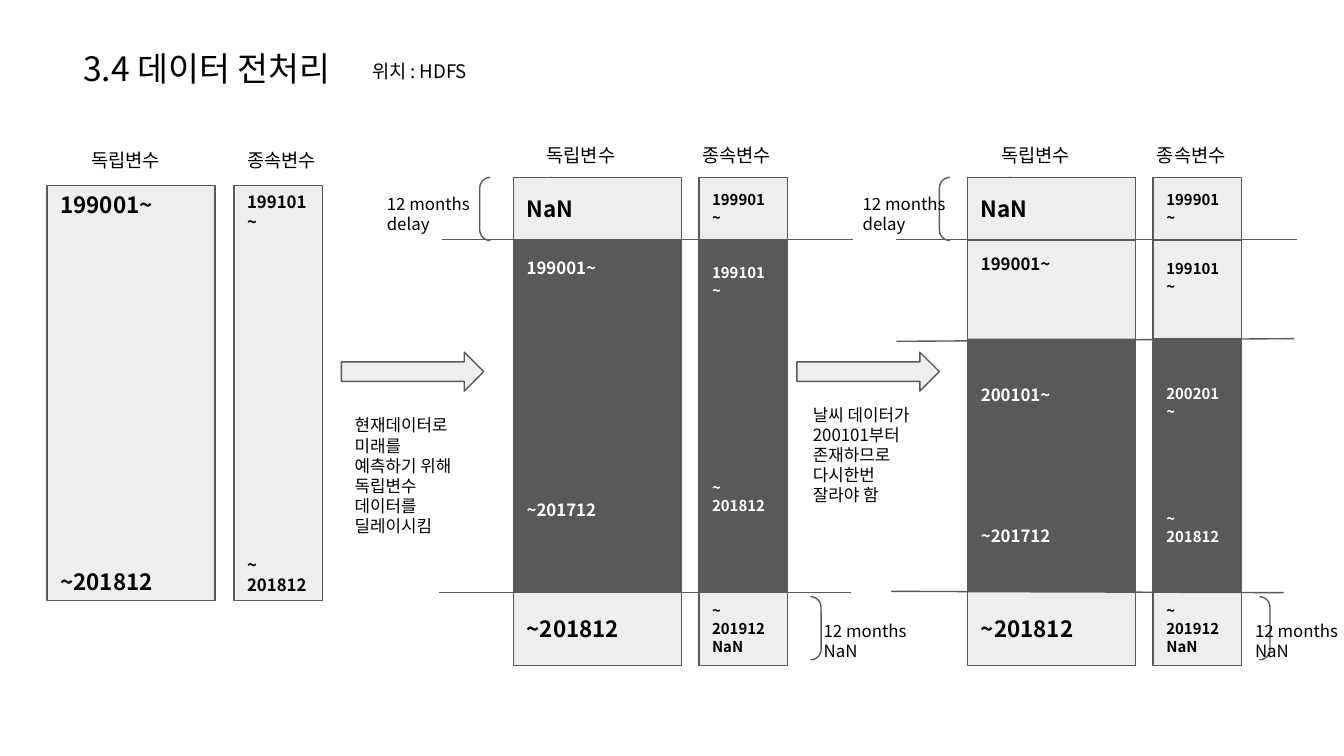
"""Build the data preprocessing slide with shifted time bars."""
from dataclasses import dataclass

import lxml.etree
import pptx
import pptx.dml.color
import pptx.enum.shapes
import pptx.enum.text
import pptx.oxml.ns
import pptx.util

SCALE = 9144
FONT = "Noto Sans CJK KR"
LIGHT, DARK, BLACK, WHITE = "EEEEEE", "595959", "000000", "FFFFFF"
WIDE, SLIM = 125, 66
LEAD = 1.2
KINDS = pptx.enum.shapes.MSO_SHAPE


@dataclass
class Bar:
    """A time bar with text at its head and, after a gap of lines, its foot."""
    left: int
    top: int
    width: int
    height: int
    size: int
    head: str
    gap: int = 0
    foot: str = ""
    fill: str = LIGHT
    edge: str = DARK
    inset: int = 0


@dataclass
class Note:
    """A plain text box."""
    left: int
    top: int
    width: int
    height: int
    size: int
    text: str


@dataclass
class Rule:
    """A straight line between two points."""
    left: int
    top: int
    right: int
    end: int


def px(count: int) -> int:
    """Turn px into EMU."""
    return pptx.util.Emu(count * SCALE)


def hue(code: str) -> pptx.dml.color.RGBColor:
    """Turn a hex string into a colour."""
    return pptx.dml.color.RGBColor.from_string(code)


def style(frame, size: int, ink: str, bold: bool) -> None:
    """Format every paragraph and run of a text frame."""
    for para in frame.paragraphs:
        para.alignment = pptx.enum.text.PP_ALIGN.LEFT
        para.line_spacing = pptx.util.Pt(size * LEAD)
        for run in para.runs:
            run.font.size = pptx.util.Pt(size)
            run.font.bold = bold
            run.font.color.rgb = hue(ink)
            run.font.name = FONT
            props = run.font._element
            lxml.etree.SubElement(props, pptx.oxml.ns.qn("a:ea"), typeface=FONT)


def inset(frame, top: int, right: int) -> None:
    """Set the margins and wrapping of a text frame."""
    frame.word_wrap = True
    frame.margin_left = frame.margin_bottom = px(10)
    frame.margin_top, frame.margin_right = px(top), px(right)


def add_form(slide, kind, left: int, top: int, width: int, height: int,
             fill: str, edge: str = DARK):
    """Add a preset shape without shadow; an empty colour means none."""
    shape = slide.shapes.add_shape(kind, px(left), px(top), px(width), px(height))
    shape.shadow.inherit = False
    if fill:
        shape.fill.solid()
        shape.fill.fore_color.rgb = hue(fill)
    else:
        shape.fill.background()
    if edge:
        shape.line.color.rgb = hue(edge)
        shape.line.width = pptx.util.Pt(0.75)
    else:
        shape.line.fill.background()
    return shape


def add_bar(slide, bar: Bar) -> None:
    """Draw a time bar and its text."""
    shape = add_form(slide, KINDS.RECTANGLE, bar.left, bar.top,
                     bar.width, bar.height, bar.fill, bar.edge)
    frame = shape.text_frame
    inset(frame, bar.inset or 10, 11)
    anchors = pptx.enum.text.MSO_ANCHOR
    frame.vertical_anchor = anchors.TOP if bar.inset else anchors.MIDDLE
    frame.text = f"{bar.head}\n{bar.foot}" if bar.foot else bar.head
    style(frame, bar.size, WHITE if bar.fill == DARK else BLACK, True)
    if bar.gap:
        frame.paragraphs[1].space_before = pptx.util.Pt(bar.gap * bar.size * LEAD)


def add_note(slide, note: Note) -> None:
    """Draw a plain text box."""
    box = slide.shapes.add_textbox(px(note.left), px(note.top),
                                   px(note.width), px(note.height))
    inset(box.text_frame, 11, 13)
    box.text_frame.text = note.text
    style(box.text_frame, note.size, BLACK, False)


def add_rule(slide, rule: Rule) -> None:
    """Draw a thin straight line."""
    line = slide.shapes.add_connector(
        pptx.enum.shapes.MSO_CONNECTOR.STRAIGHT,
        px(rule.left), px(rule.top), px(rule.right), px(rule.end))
    line.line.color.rgb = hue(DARK)
    line.line.width = pptx.util.Pt(0.75)
    lxml.etree.SubElement(line._element.spPr, pptx.oxml.ns.qn("a:effectLst"))


def caps(left: int) -> list[Bar]:
    """Give the top and bottom boxes of a shifted pair of bars."""
    side = left + 138
    return [
        Bar(left, 132, WIDE, 47, 12, "NaN"),
        Bar(left, 440, WIDE, 55, 12, "~201812"),
        Bar(side, 132, SLIM, 47, 8, "199901~"),
        Bar(side, 440, SLIM, 55, 8, "~\n201912\nNaN"),
    ]


BRACES = [(885, 444), (551, 444), (699, 132), (357, 132)]
ARROWS = [593, 254]
BARS = [
    Bar(35, 138, WIDE, 309, 12, "199001~", 13, "~201812"),
    Bar(174, 138, SLIM, 309, 9, "199101~", 16, "~\n201812"),
    Bar(382, 132, WIDE, 315, 9, "199001~", 11, "~201712", DARK),
    Bar(520, 132, SLIM, 315, 8, "199101~", 10, "~\n201812", DARK),
    Bar(720, 132, WIDE, 309, 9, "199001~", inset=57),
    Bar(858, 132, SLIM, 309, 8, "199101~", inset=61),
    *caps(382),
    *caps(720),
]
RULES = [
    Rule(329, 178, 635, 178), Rule(327, 441, 633, 441),
    Rule(667, 178, 965, 178), Rule(663, 440, 955, 441),
    Rule(667, 254, 963, 252),
]
CUTS = [
    Bar(720, 252, WIDE, 188, 9, "200101~", 6, "~201712", DARK, ""),
    Bar(858, 252, SLIM, 188, 8, "200201~", 5, "~\n201812", DARK),
]
NOTES = [
    Note(52, 25, 935, 50, 18, "3.4 데이터 전처리"),
    Note(267, 36, 112, 39, 10, "위치 : HDFS"),
    *[Note(left + step, top, 80, 33, 10, text)
      for left, top in ((58, 102), (397, 98), (735, 98))
      for step, text in ((0, "독립변수"), (116, "종속변수"))],
    *[Note(left, top, 101, 33, 9, f"12 months\n{word}")
      for left, top, word in ((278, 133, "delay"), (632, 133, "delay"),
                              (603, 451, "NaN"), (924, 451, "NaN"))],
    Note(254, 298, 101, 106, 9,
         "현재데이터로\n미래를 예측하기 위해 독립변수 데이터를 딜레이시킴"),
    Note(595, 290, 101, 106, 9,
         "날씨 데이터가 200101부터 존재하므로 다시한번 잘라야 함"),
]


def main() -> None:
    """Build and save the slide."""
    deck = pptx.Presentation()
    deck.slide_width = px(1000)
    deck.slide_height = deck.slide_width * 9 // 16
    slide = deck.slides.add_slide(deck.slide_layouts[6])
    for left, top in BRACES:
        add_form(slide, KINDS.DOUBLE_BRACKET, left, top, 60, 47, "")
    for bar in BARS:
        add_bar(slide, bar)
    for left in ARROWS:
        add_form(slide, KINDS.RIGHT_ARROW, left, 262, 106, 29, LIGHT)
    for rule in RULES:
        add_rule(slide, rule)
    for bar in CUTS:
        add_bar(slide, bar)
    for note in NOTES:
        add_note(slide, note)
    deck.save("out.pptx")


if __name__ == "__main__":
    main()
